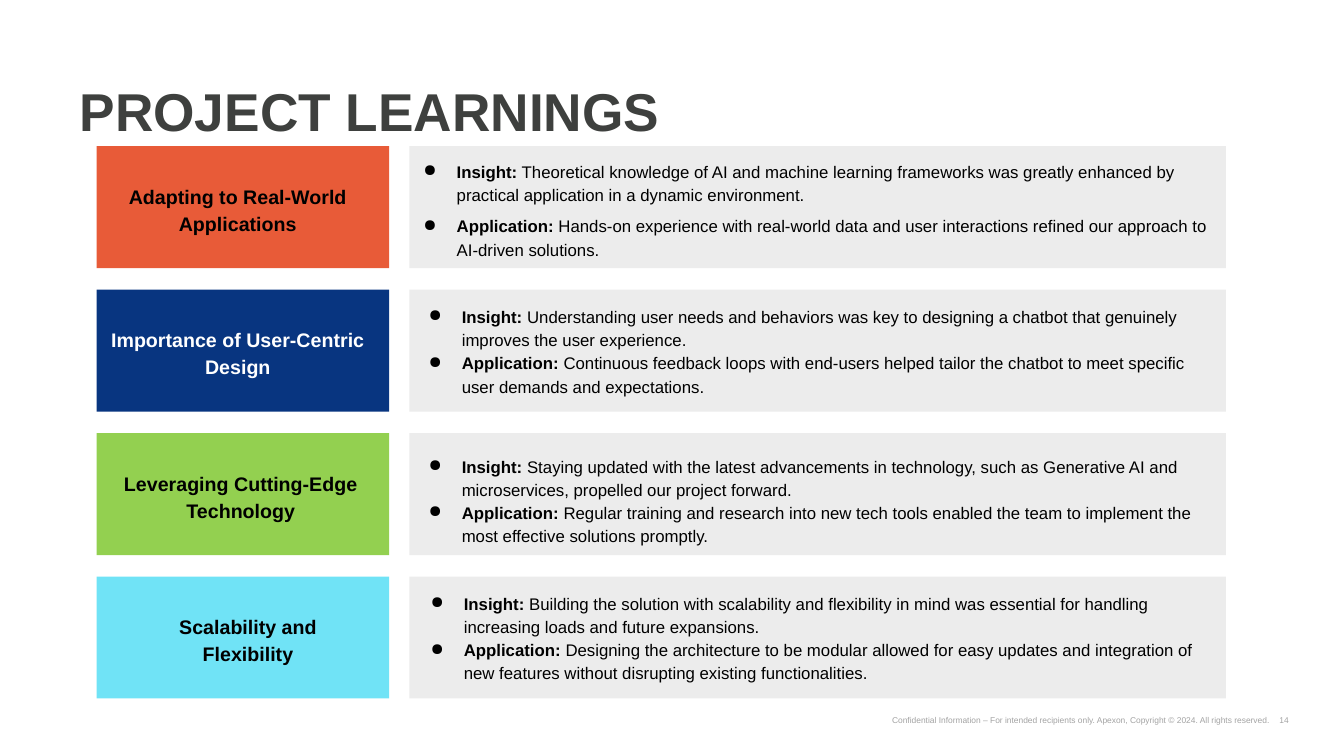
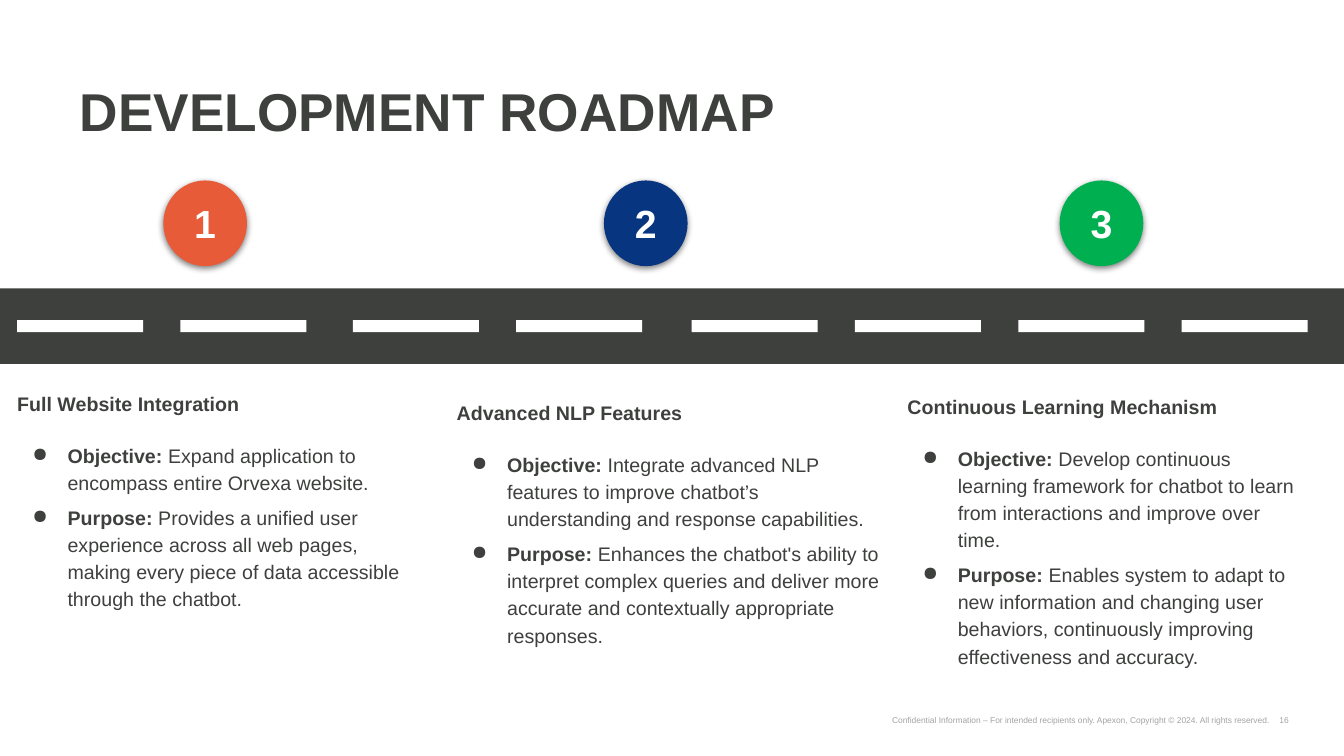
from dataclasses import dataclass

from lxml import etree
from pptx import Presentation
from pptx import util as u
from pptx.dml.color import RGBColor
from pptx.enum import shapes, text
from pptx.oxml.ns import qn


@dataclass(frozen=True)
class Theme:
    font: str = "Arial"
    charcoal: str = "3E403E"
    black: str = "000000"
    white: str = "FFFFFF"
    muted: str = "A3A3A3"
    panel: str = "ECECEC"
    orange: str = "E85B38"
    navy: str = "083580"
    lime: str = "93D050"
    sky: str = "70E3F6"
    green: str = "00B050"
    title_size: int = 38
    marker_size: int = 28
    heading_size: int = 14
    detail_size: int = 12
    footer_size: int = 6
    leading: float = 1.15


T = Theme()
WIDTH, HEIGHT = 13.33, 7.5

# Content
FOOTER = ("Confidential Information – For intended recipients only. "
          "Apexon, Copyright © 2024. All rights reserved.")

LEARNINGS = {
    "title": "PROJECT LEARNINGS",
    "page": "14",
    # nudge: left and right inset of the label; text_box: offset in panel, width
    "rows": [
        dict(label="Adapting to Real-World Applications", fill=T.orange, ink=T.black,
             nudge=(0.1, 0.2), text_box=(-0.03, 0.12, 8.15), gap=6, points=[
                 ("Insight:", " Theoretical knowledge of AI and machine learning frameworks was "
                  "greatly enhanced by practical application in a dynamic environment."),
                 ("Application:", " Hands-on experience with real-world data and user "
                  "interactions refined our approach to AI-driven solutions.")]),
        dict(label="Importance of User-Centric Design", fill=T.navy, ink=T.white,
             nudge=(0.1, 0.2), text_box=(0.02, 0.14, 7.95), gap=0, points=[
                 ("Insight:", " Understanding user needs and behaviors was key to designing a "
                  "chatbot that genuinely improves the user experience."),
                 ("Application:", " Continuous feedback loops with end-users helped tailor the "
                  "chatbot to meet specific user demands and expectations.")]),
        dict(label="Leveraging Cutting-Edge Technology", fill=T.lime, ink=T.black,
             nudge=(0.1, 0.14), text_box=(0.02, 0.2, 8.05), gap=0, points=[
                 ("Insight:", " Staying updated with the latest advancements in technology, such "
                  "as Generative AI and microservices, propelled our project forward."),
                 ("Application:", " Regular training and research into new tech tools enabled the "
                  "team to implement the most effective solutions promptly.")]),
        dict(label="Scalability and\nFlexibility", fill=T.sky, ink=T.black,
             nudge=(0.2, 0.1), text_box=(0.04, 0.14, 7.91), gap=0, points=[
                 ("Insight:", " Building the solution with scalability and flexibility in mind "
                  "was essential for handling increasing loads and future expansions."),
                 ("Application:", " Designing the architecture to be modular allowed for easy "
                  "updates and integration of new features without disrupting existing "
                  "functionalities.")]),
    ],
}

ROADMAP = {
    "title": "DEVELOPMENT ROADMAP",
    "page": "16",
    "stages": [
        dict(number="1", fill=T.orange, marker_left=1.62, text_box=(0.17, 3.85, 4.05, 2.0),
             heading="Full Website Integration", points=[
                 ("Objective:", " Expand application to encompass entire Orvexa website."),
                 ("Purpose:", " Provides a unified user experience across all web pages, making "
                  "every piece of data accessible through the chatbot.")]),
        dict(number="2", fill=T.navy, marker_left=5.99, text_box=(4.53, 3.94, 4.24, 2.47),
             heading="Advanced NLP Features", points=[
                 ("Objective:", " Integrate advanced NLP features to improve chatbot’s "
                  "understanding and response capabilities."),
                 ("Purpose:", " Enhances the chatbot's ability to interpret complex queries and "
                  "deliver more accurate and contextually appropriate responses.")]),
        dict(number="3", fill=T.green, marker_left=10.51, text_box=(9.0, 3.88, 3.95, 2.59),
             heading="Continuous Learning Mechanism", points=[
                 ("Objective:", " Develop continuous learning framework for chatbot to learn "
                  "from interactions and improve over time."),
                 ("Purpose:", " Enables system to adapt to new information and changing user "
                  "behaviors, continuously improving effectiveness and accuracy.")]),
    ],
}

# Layout, in inches
TITLE_BOX = (0.79, 0.68, 9.66, 0.88)
FOOTER_BOX = (3.79, 7.03, 8.8, 0.22)
PAGE_BOX = (12.69, 7.03, 0.51, 0.22)
LABEL_COLUMN, PANEL_COLUMN = (0.96, 2.9), (4.06, 8.1)
FIRST_ROW, LAST_ROW, ROW_HEIGHT = 1.45, 5.72, 1.21
ROAD_TOP, ROAD_HEIGHT = 2.86, 0.75
DASH_PAIRS, DASH_STEP, DASH_SIZE = (0.17, 3.5, 6.86, 10.1), 1.62, (1.25, 0.12)
MARKER_TOP, MARKER_SIZE = 1.79, (0.83, 0.85)


def inches(box):
    return [u.Inches(length) for length in box]


def set_frame(frame, insets=(0, 0, 0, 0), anchor=text.MSO_ANCHOR.TOP):
    left, top, right, bottom = inches(insets)
    settings = dict(word_wrap=True, vertical_anchor=anchor, margin_left=left,
                    margin_top=top, margin_right=right, margin_bottom=bottom)
    for key, value in settings.items():
        setattr(frame, key, value)
    return frame


def add_bullet(paragraph, color, hanging):
    props = paragraph._p.get_or_add_pPr()
    props.set("marL", str(u.Inches(0.5)))
    props.set("indent", str(-u.Inches(hanging)))
    bullet_color = etree.SubElement(props, qn("a:buClr"))
    etree.SubElement(bullet_color, qn("a:srgbClr"), val=color)
    etree.SubElement(props, qn("a:buChar"), char="●")


def write(frame, runs, size, color, first=True, align=text.PP_ALIGN.LEFT,
          leading=T.leading, before=0, hanging=None):
    """Add one paragraph; runs is a list of (words, bold)."""
    paragraph = frame.paragraphs[0] if first else frame.add_paragraph()
    if hanging:
        add_bullet(paragraph, color, hanging)
    spacing = dict(alignment=align, line_spacing=leading,
                   space_before=u.Pt(0 if first else before))
    for key, value in spacing.items():
        setattr(paragraph, key, value)
    for words, bold in runs:
        run = paragraph.add_run()
        run.text = words
        for key, value in dict(name=T.font, size=u.Pt(size), bold=bold).items():
            setattr(run.font, key, value)
        run.font.color.rgb = RGBColor.from_string(color)


def add_text_area(slide, box, anchor=text.MSO_ANCHOR.TOP):
    return set_frame(slide.shapes.add_textbox(*inches(box)).text_frame, anchor=anchor)


def add_block(slide, box, fill, kind=shapes.MSO_SHAPE.RECTANGLE):
    block = slide.shapes.add_shape(kind, *inches(box))
    block.shadow.inherit = False
    block.fill.solid()
    block.fill.fore_color.rgb = RGBColor.from_string(fill)
    block.line.fill.background()
    return block


def add_soft_shadow(block):
    effects = block._element.spPr.find(qn("a:effectLst"))
    shadow = etree.SubElement(effects, qn("a:outerShdw"), blurRad=str(u.Pt(4.5)),
                              dist=str(u.Pt(1.5)), dir="5400000", rotWithShape="0")
    shade = etree.SubElement(shadow, qn("a:srgbClr"), val=T.black)
    etree.SubElement(shade, qn("a:alpha"), val="50000")


def start_slide(deck, content):
    """Blank slide with the shared title, footer and page number."""
    slide = deck.slides.add_slide(deck.slide_layouts[6])
    write(add_text_area(slide, TITLE_BOX), [(content["title"], True)],
          T.title_size, T.charcoal)
    for box, words, align in ((FOOTER_BOX, FOOTER, text.PP_ALIGN.RIGHT),
                              (PAGE_BOX, content["page"], text.PP_ALIGN.LEFT)):
        write(add_text_area(slide, box, text.MSO_ANCHOR.MIDDLE), [(words, False)],
              T.footer_size, T.muted, align=align, leading=1.0)
    return slide


def build_learnings(deck):
    slide = start_slide(deck, LEARNINGS)
    rows = LEARNINGS["rows"]
    pitch = (LAST_ROW - FIRST_ROW) / (len(rows) - 1)
    for index, row in enumerate(rows):
        top = FIRST_ROW + index * pitch

        # Coloured label
        left, width = LABEL_COLUMN
        label = add_block(slide, (left, top, width, ROW_HEIGHT), row["fill"])
        inset_left, inset_right = row["nudge"]
        frame = set_frame(label.text_frame, (inset_left, 0.07, inset_right, 0.05),
                          text.MSO_ANCHOR.MIDDLE)
        for number, line in enumerate(row["label"].split("\n")):
            write(frame, [(line, True)], T.heading_size, row["ink"],
                  first=number == 0, align=text.PP_ALIGN.CENTER)

        # Grey panel with insight and application
        left, width = PANEL_COLUMN
        add_block(slide, (left, top, width, ROW_HEIGHT), T.panel)
        shift, drop, text_width = row["text_box"]
        frame = add_text_area(slide, (left + shift, top + drop, text_width, ROW_HEIGHT - drop))
        for number, (lead, words) in enumerate(row["points"]):
            write(frame, [(lead, True), (words, False)], T.detail_size, T.black,
                  first=number == 0, before=row["gap"], hanging=0.33)


def build_roadmap(deck):
    slide = start_slide(deck, ROADMAP)

    # Road with lane dashes
    add_block(slide, (0, ROAD_TOP, WIDTH, ROAD_HEIGHT), T.charcoal)
    dash_top = ROAD_TOP + (ROAD_HEIGHT - DASH_SIZE[1]) / 2
    for pair_left in DASH_PAIRS:
        for left in (pair_left, pair_left + DASH_STEP):
            add_block(slide, (left, dash_top, *DASH_SIZE), T.white)

    # Numbered stages
    for stage in ROADMAP["stages"]:
        marker = add_block(slide, (stage["marker_left"], MARKER_TOP, *MARKER_SIZE),
                           stage["fill"], shapes.MSO_SHAPE.OVAL)
        add_soft_shadow(marker)
        frame = set_frame(marker.text_frame, (0.1, 0.05, 0.1, 0.05), text.MSO_ANCHOR.MIDDLE)
        write(frame, [(stage["number"], True)], T.marker_size, T.white,
              align=text.PP_ALIGN.CENTER, leading=1.0)

        frame = add_text_area(slide, stage["text_box"])
        write(frame, [(stage["heading"], True)], T.heading_size, T.charcoal)
        for (lead, words), before in zip(stage["points"], (18, 6)):
            write(frame, [(lead, True), (words, False)], T.heading_size, T.charcoal,
                  first=False, before=before, hanging=0.35)


def main():
    deck = Presentation()
    deck.slide_width, deck.slide_height = inches((WIDTH, HEIGHT))
    build_learnings(deck)
    build_roadmap(deck)
    deck.save("out.pptx")


if __name__ == "__main__":
    main()
